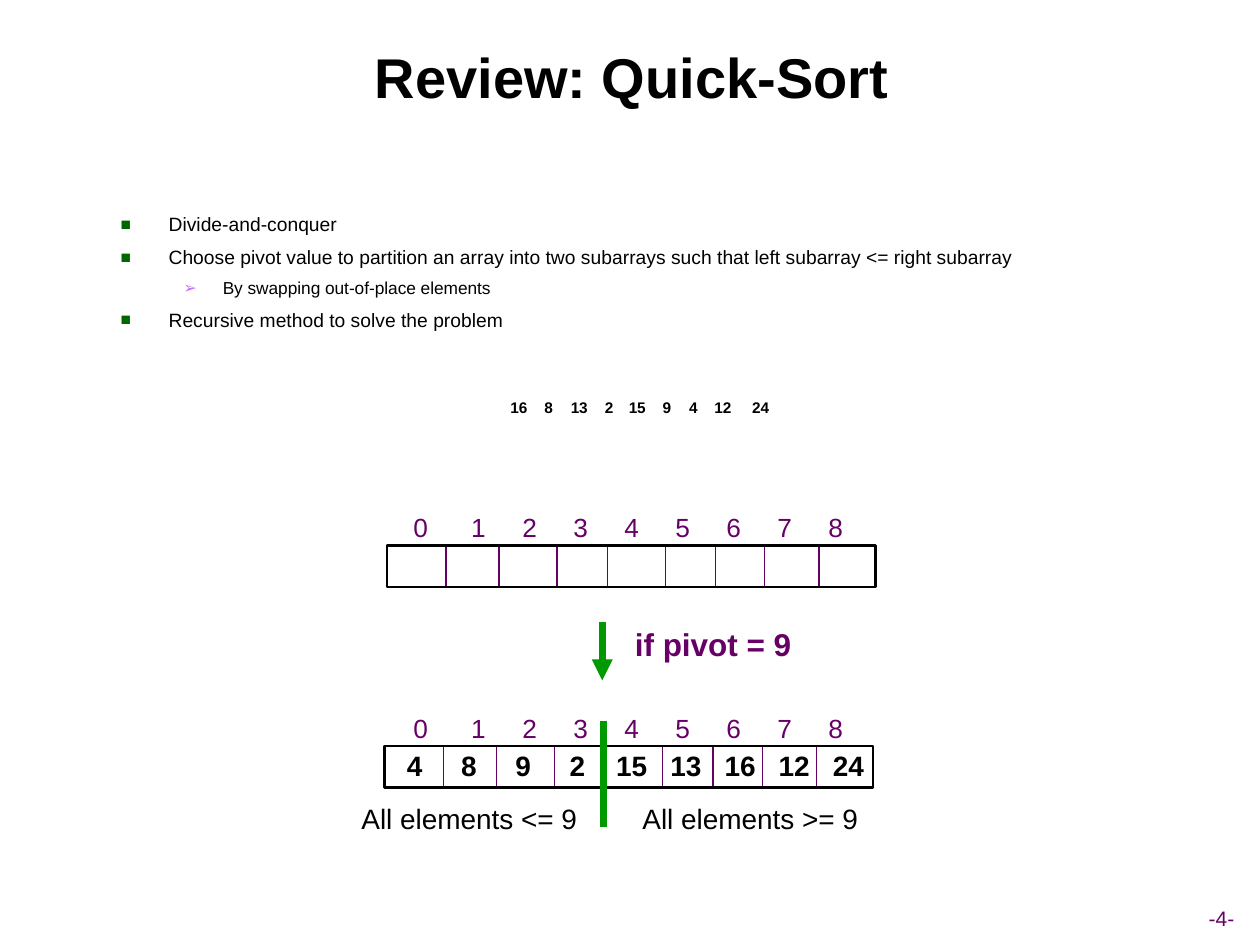
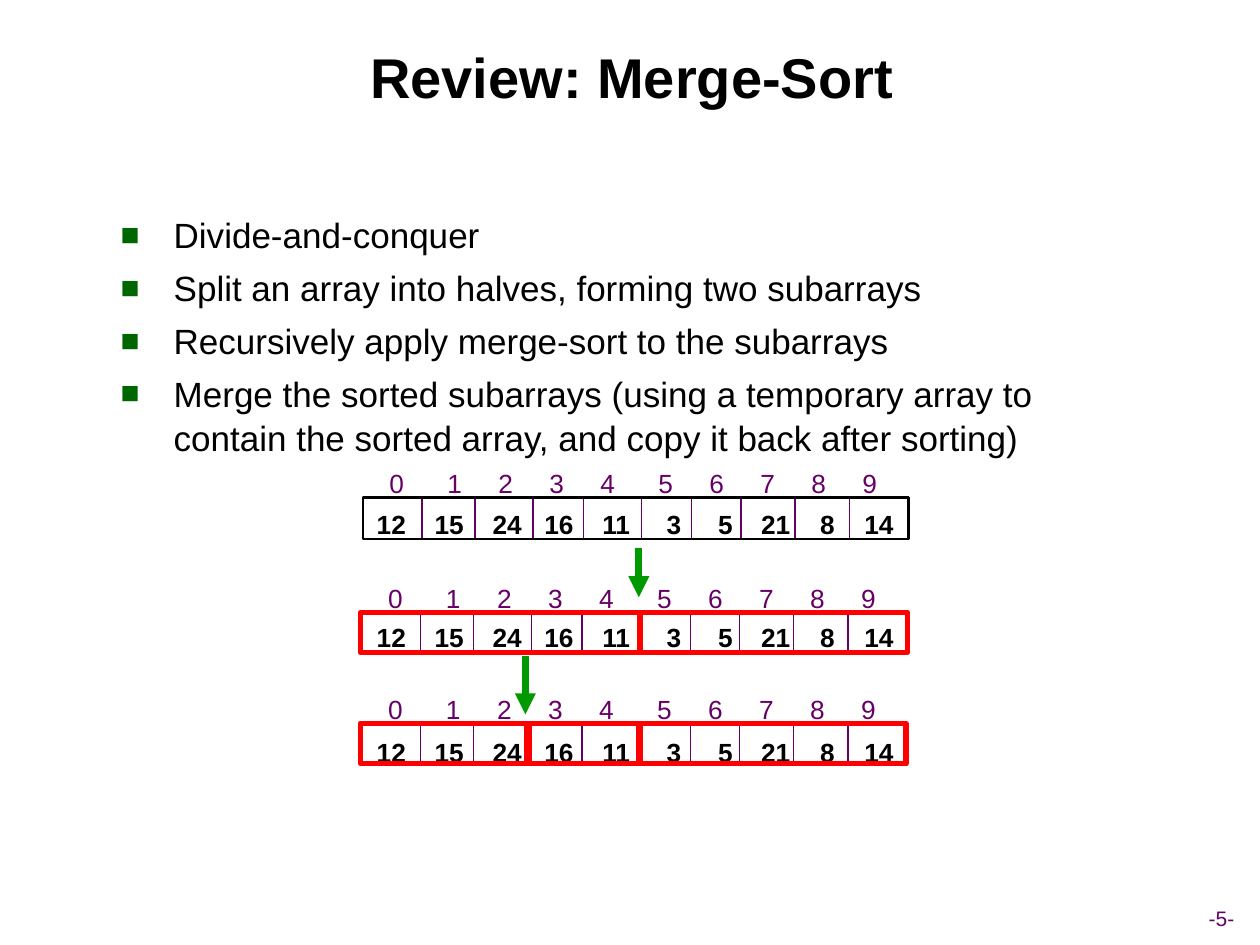
from itertools import accumulate

from lxml import etree
from pptx import Presentation
from pptx.dml.color import RGBColor
from pptx.enum.shapes import MSO_CONNECTOR, MSO_SHAPE
from pptx.enum.text import MSO_ANCHOR, PP_ALIGN
from pptx.oxml.ns import qn
from pptx.util import Inches, Pt

BLACK = RGBColor(0x00, 0x00, 0x00)
PURPLE = RGBColor(0x66, 0x00, 0x66)
GREEN = RGBColor(0x00, 0x99, 0x00)
RED = RGBColor(0xFF, 0x00, 0x00)
FONT = "Arial"
TITLE_ONLY = 5

# Bullet sign and colour, indent in inches and space before in points, by level
BULLETS = [("■", "006600", 0.38, 0.38, 5), ("➢", "CC66FF", 0.81, 0.31, 4.5)]

# Widths of array cells; a last cell takes what is left of the frame
CELL_WIDTHS = [0.47, 0.42, 0.46, 0.4, 0.46, 0.4, 0.39, 0.43, 0.43]
CELL_HEIGHT = 0.33

UNSORTED = [16, 8, 13, 2, 15, 9, 4, 12, 24]
UNSORTED_STEPS = [0.27, 0.21, 0.27, 0.19, 0.27, 0.21, 0.2, 0.3]
PARTITIONED = [4, 8, 9, 2, 15, 13, 16, 12, 24]
PARTITIONED_STEPS = [0.43] * 3 + [0.37] + [0.43] * 4
QUICK_INDEX_STEPS = [0.46] + [0.405] * 7
MERGE_VALUES = [12, 15, 24, 16, 11, 3, 5, 21, 8, 14]
MERGE_STEPS = [0.46, 0.46, 0.41, 0.46, 0.51, 0.41, 0.34, 0.47, 0.35]
MERGE_INDEX_STEPS = [0.46] + [0.405] * 3 + [0.46] + [0.405] * 4


def style(paragraph, size, color=BLACK, bold=False):
    for run in paragraph.runs:
        run.font.name = FONT
        run.font.size = Pt(size)
        run.font.bold = bold
        run.font.color.rgb = color


def add_caption(slide, text, left, top, width, height, size, color=BLACK, bold=False):
    frame = slide.shapes.add_textbox(*map(Inches, (left, top, width, height))).text_frame
    frame.text = text
    frame.paragraphs[0].alignment = PP_ALIGN.CENTER
    style(frame.paragraphs[0], size, color, bold)
    return frame


def add_number_row(slide, numbers, steps, left, top, size, color=BLACK, bold=False):
    """Numbers on one line, set apart by tab stops at the given steps."""
    width = sum(steps) + 0.4
    frame = slide.shapes.add_textbox(*map(Inches, (left, top, width, 0.25))).text_frame
    frame.margin_left = frame.margin_right = frame.margin_top = frame.margin_bottom = 0
    frame.word_wrap = True
    paragraph = frame.paragraphs[0]
    paragraph.text = "\t".join(map(str, numbers))
    tabs = etree.SubElement(paragraph._p.get_or_add_pPr(), qn("a:tabLst"))
    for stop in accumulate(steps):
        etree.SubElement(tabs, qn("a:tab"), pos=str(Inches(stop)), algn="l")
    style(paragraph, size, color, bold)


def add_line(slide, x1, y1, x2, y2, color, weight, arrow=False):
    line = slide.shapes.add_connector(
        MSO_CONNECTOR.STRAIGHT, *map(Inches, (x1, y1, x2, y2)))
    line.line.color.rgb = color
    line.line.width = Pt(weight)
    if arrow:
        etree.SubElement(line.line._get_or_add_ln(), qn("a:tailEnd"), type="triangle")
    etree.SubElement(line._element.spPr, qn("a:effectLst"))


def add_frame(slide, left, top, width, height, color, weight):
    frame = slide.shapes.add_shape(
        MSO_SHAPE.RECTANGLE, *map(Inches, (left, top, width, height)))
    frame.shadow.inherit = False
    frame.fill.background()
    frame.line.color.rgb = color
    frame.line.width = Pt(weight)


def add_array(slide, left, top, width, index_steps, index_left, index_rise):
    """Empty array frame with cell dividers and its indices above."""
    add_frame(slide, left, top, width, CELL_HEIGHT, BLACK, 1.5)
    for offset in accumulate(CELL_WIDTHS[:len(index_steps)]):
        x = left + offset
        add_line(slide, x, top + 0.01, x, top + 0.32, PURPLE, 0.75)
    add_number_row(slide, range(len(index_steps) + 1), index_steps,
                   index_left, top - index_rise, 15, PURPLE)


def add_bullets(slide, items, height, sizes, extra_indent=0):
    box = slide.shapes.add_textbox(*map(Inches, (0.86, 1.63, 8.38, height)))
    frame = box.text_frame
    frame.word_wrap = True
    for number, (level, text) in enumerate(items):
        paragraph = frame.add_paragraph() if number else frame.paragraphs[0]
        paragraph.text = text
        sign, sign_color, margin, hanging, space = BULLETS[level]
        properties = paragraph._p.get_or_add_pPr()
        properties.set("marL", str(Inches(margin + extra_indent)))
        properties.set("indent", str(-Inches(hanging + extra_indent)))
        color = etree.SubElement(properties, qn("a:buClr"))
        etree.SubElement(color, qn("a:srgbClr"), val=sign_color)
        etree.SubElement(properties, qn("a:buSzPct"), val="90000")
        etree.SubElement(properties, qn("a:buFont"), typeface=FONT)
        etree.SubElement(properties, qn("a:buChar"), char=sign)
        paragraph.level = level
        paragraph.line_spacing = 1.05
        if number:
            paragraph.space_before = Pt(space)
        style(paragraph, sizes[level])


def add_titled_slide(prs, title_text, page):
    slide = prs.slides.add_slide(prs.slide_layouts[TITLE_ONLY])
    title = slide.shapes.title
    title.left, title.top, title.width, title.height = map(Inches, (0.38, 0.13, 9.27, 0.95))
    title.text_frame.text = title_text
    title.text_frame.vertical_anchor = MSO_ANCHOR.MIDDLE
    title.text_frame.paragraphs[0].alignment = PP_ALIGN.CENTER
    style(title.text_frame.paragraphs[0], 32, BLACK, True)
    footer = add_caption(slide, f"-{page}-", 9.16, 7.14, 1.07, 0.3, 12, PURPLE)
    footer.vertical_anchor = MSO_ANCHOR.MIDDLE
    footer.word_wrap = True
    return slide


def build_quick_sort(prs):
    slide = add_titled_slide(prs, "Review: Quick-Sort", 4)
    add_bullets(slide, [
        (0, "Divide-and-conquer"),
        (0, "Choose pivot value to partition an array into two subarrays "
            "such that left subarray <= right subarray"),
        (1, "By swapping out-of-place elements"),
        (0, "Recursive method to solve the problem"),
    ], 1.2, (11, 9.9))
    add_number_row(slide, UNSORTED, UNSORTED_STEPS, 4.05, 3.16, 8.8, bold=True)

    for left, top in ((3.07, 4.33), (3.05, 5.92)):
        add_array(slide, left, top, 3.88, QUICK_INDEX_STEPS, 3.28, 0.27)
    add_number_row(slide, PARTITIONED, PARTITIONED_STEPS, 3.23, 5.94, 16, bold=True)

    add_line(slide, 4.78, 4.94, 4.78, 5.4, GREEN, 4, arrow=True)
    add_caption(slide, "if pivot = 9", 4.94, 4.91, 1.44, 0.4, 18, PURPLE, True)
    add_line(slide, 4.79, 5.72, 4.79, 6.56, GREEN, 4)
    for sign, left in (("<=", 2.77), (">=", 5)):
        add_caption(slide, f"All elements {sign} 9", left, 6.31, 1.91, 0.37, 16)


def build_merge_sort(prs):
    slide = add_titled_slide(prs, "Review: Merge-Sort", 5)
    add_bullets(slide, [
        (0, "Divide-and-conquer"),
        (0, "Split an array into halves, forming two subarrays"),
        (0, "Recursively apply merge-sort to the subarrays"),
        (0, "Merge the sorted subarrays (using a temporary array to contain "
            "the sorted array, and copy it back after sorting)"),
    ], 2, (20,), extra_indent=0.04)

    arrays = ((2.88, 3.95, 4.03), (2.87, 4.86, 4.93), (2.87, 5.74, 5.84))
    for left, top, values_top in arrays:
        add_array(slide, left, top, 4.33, MERGE_INDEX_STEPS, left + 0.21, 0.24)
        add_number_row(slide, MERGE_VALUES, MERGE_STEPS, 2.99, values_top, 15, bold=True)

    subarrays = ((2.86, 4.86, 2.22), (5.08, 4.86, 2.12),
                 (2.86, 5.74, 1.34), (4.18, 5.74, 0.9), (5.07, 5.74, 2.12))
    for left, top, width in subarrays:
        add_frame(slide, left, top, width, 0.32, RED, 3)
    for x, top, bottom in ((5.07, 4.35, 4.74), (4.17, 5.21, 5.67)):
        add_line(slide, x, top, x, bottom, GREEN, 4, arrow=True)


def main():
    prs = Presentation()
    prs.slide_width, prs.slide_height = Inches(10), Inches(7.5)
    build_quick_sort(prs)
    build_merge_sort(prs)
    prs.save("out.pptx")


if __name__ == "__main__":
    main()
